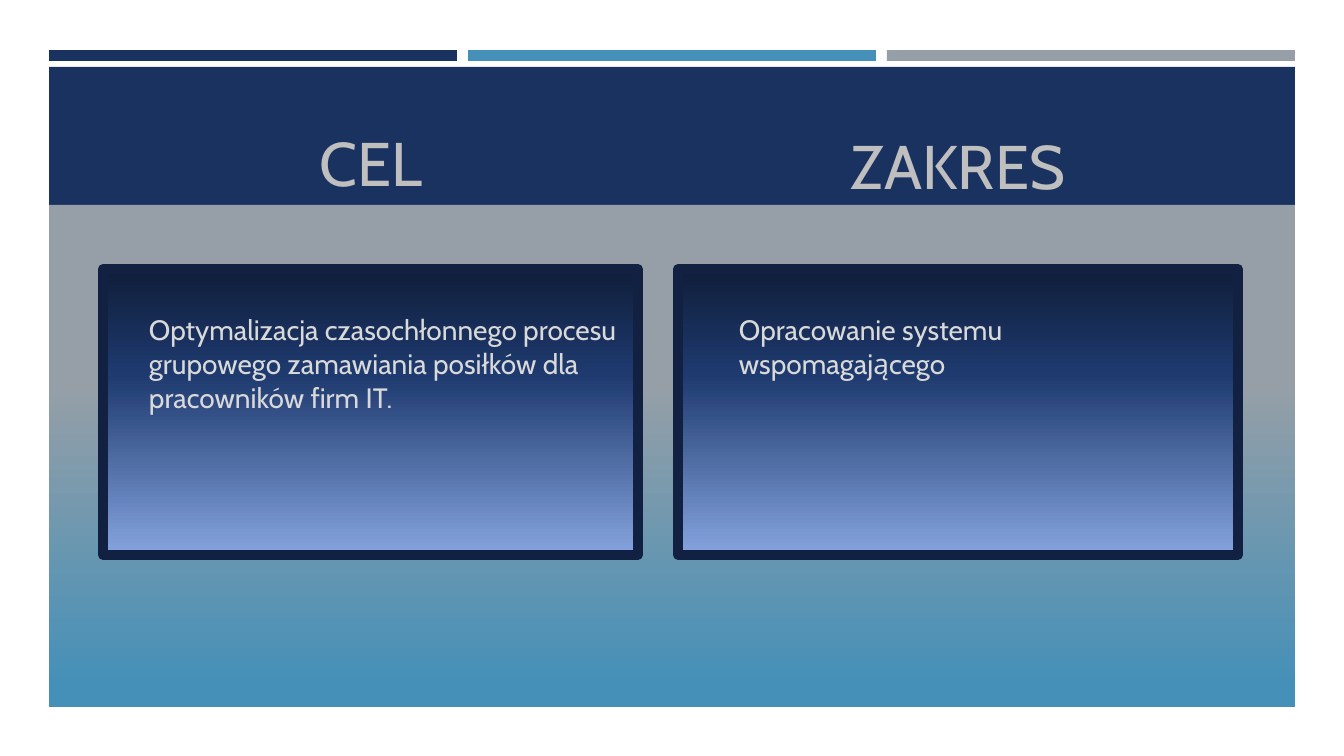
from dataclasses import dataclass

from lxml import etree
from pptx import Presentation
from pptx.dml.color import RGBColor
from pptx.enum.shapes import MSO_SHAPE
from pptx.enum.text import MSO_ANCHOR, PP_ALIGN
from pptx.oxml.ns import qn
from pptx.slide import Slide
from pptx.util import Emu, Pt

RECT = MSO_SHAPE.RECTANGLE
TOP, BOTTOM = MSO_ANCHOR.TOP, MSO_ANCHOR.BOTTOM
LEFT, CENTER = PP_ALIGN.LEFT, PP_ALIGN.CENTER
EMU_PER_PX = 914400 / 100.8

Stops = tuple[tuple[int, str], ...]


@dataclass(frozen=True)
class Theme:
    font: str = "Cabin"
    navy: str = "1A3260"
    blue: str = "4590B8"
    gray: str = "969FA7"
    border: str = "122141"
    heading: str = "BFBFBF"
    body: str = "D9D9D9"
    heading_pt: int = 44
    body_pt: int = 20
    after_pt: int = 6
    border_pt: int = 7
    backdrop: Stops = ((7, "4590B8"), (100, "969FA7"))
    card: Stops = ((0, "85A3DE"), (63, "1E3A6F"), (100, "101E3A"))


@dataclass(frozen=True)
class Box:
    x: int
    y: int
    w: int
    h: int

    def emu(self) -> tuple[Emu, ...]:
        return tuple(Emu(round(v * EMU_PER_PX)) for v in (self.x, self.y, self.w, self.h))


@dataclass(frozen=True)
class Panel:
    card: Box
    heading_box: Box
    heading: str
    body_box: Box
    body: str


THEME = Theme()
SLIDE = Box(0, 0, 1344, 756)
MARGIN, CONTENT_W = 49, 1246
BAR_Y, BAR_H, BAR_GAP = 50, 11, 11
BANNER = Box(MARGIN, 67, CONTENT_W, 138)
BACKGROUND = Box(MARGIN, 205, CONTENT_W, 502)
BACKDROP = Box(MARGIN, 382, CONTENT_W, 325)

PANELS = (
    Panel(
        Box(103, 269, 535, 286),
        Box(87, 113, 568, 91),
        "CEL",
        Box(139, 308, 519, 406),
        "Optymalizacja czasochłonnego procesu grupowego zamawiania posiłków dla pracowników firm IT.",
    ),
    Panel(
        Box(678, 269, 560, 286),
        Box(672, 116, 572, 91),
        "ZAKRES",
        Box(729, 308, 473, 121),
        "Opracowanie systemu wspomagającego",
    ),
)


def add_rect(s: Slide, box: Box, fill: str | Stops, line: str | None = None) -> None:
    sp = s.shapes.add_shape(RECT, *box.emu())
    sp.shadow.inherit = False
    if isinstance(fill, str):
        sp.fill.solid()
        sp.fill.fore_color.rgb = RGBColor.from_string(fill)
    else:
        sp.fill.gradient()
        sp.fill.gradient_angle = 90
        stops = sp._element.spPr.find(qn("a:gradFill")).find(qn("a:gsLst"))
        for old in list(stops):
            stops.remove(old)
        for percent, color in fill:
            stop = etree.SubElement(stops, qn("a:gs"), pos=str(percent * 1000))
            etree.SubElement(stop, qn("a:srgbClr"), val=color)
    if line is None:
        sp.line.fill.background()
    else:
        sp.line.color.rgb = RGBColor.from_string(line)
        sp.line.width = Pt(THEME.border_pt)


def add_text(s: Slide, box: Box, text: str, size: int, color: str,
             align: PP_ALIGN, anchor: MSO_ANCHOR) -> None:
    tf = s.shapes.add_textbox(*box.emu()).text_frame
    tf.word_wrap = True
    tf.vertical_anchor = anchor
    p = tf.paragraphs[0]
    p.alignment = align
    p.space_after = Pt(THEME.after_pt)
    r = p.add_run()
    r.text = text
    r.font.name = THEME.font
    r.font.size = Pt(size)
    r.font.color.rgb = RGBColor.from_string(color)


def add_bars(s: Slide) -> None:
    colors = (THEME.navy, THEME.blue, THEME.gray)
    w = (CONTENT_W - BAR_GAP * (len(colors) - 1)) // len(colors)
    for i, color in enumerate(colors):
        add_rect(s, Box(MARGIN + i * (w + BAR_GAP), BAR_Y, w, BAR_H), color)


def main() -> None:
    prs = Presentation()
    _, _, prs.slide_width, prs.slide_height = SLIDE.emu()
    s = prs.slides.add_slide(prs.slide_layouts[6])
    add_bars(s)
    add_rect(s, BANNER, THEME.navy)
    add_rect(s, BACKGROUND, THEME.gray)
    add_rect(s, BACKDROP, THEME.backdrop)
    for panel in PANELS:
        add_rect(s, panel.card, THEME.card, THEME.border)
        add_text(s, panel.heading_box, panel.heading, THEME.heading_pt,
                 THEME.heading, CENTER, BOTTOM)
        add_text(s, panel.body_box, panel.body, THEME.body_pt,
                 THEME.body, LEFT, TOP)
    prs.save("out.pptx")


if __name__ == "__main__":
    main()
